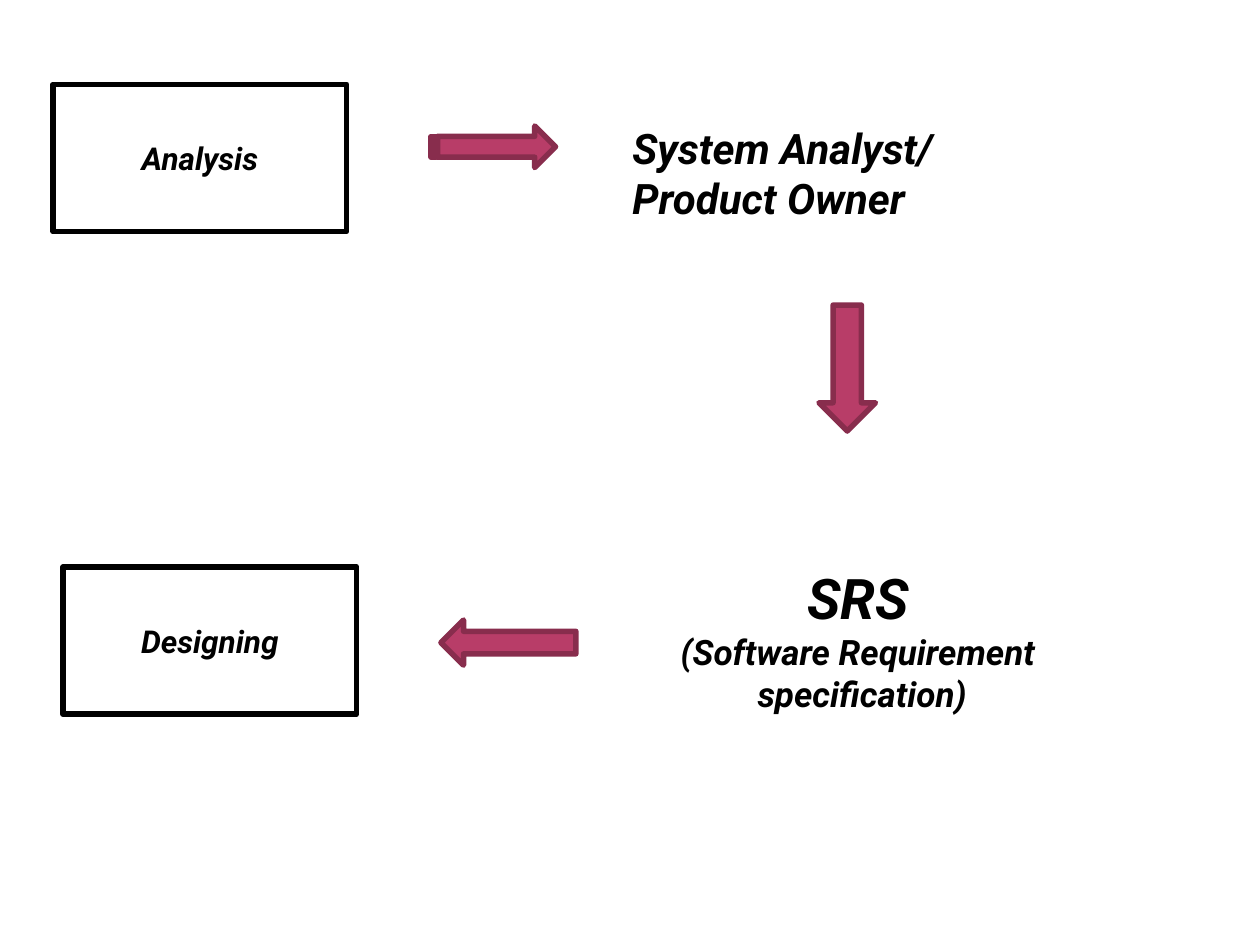
from pptx import Presentation
from pptx.dml.color import RGBColor
from pptx.enum.shapes import MSO_SHAPE
from pptx.enum.text import MSO_ANCHOR, MSO_AUTO_SIZE, PP_ALIGN
from pptx.util import Cm, Pt

FONT = "Roboto"
BLACK, WHITE, ROSE, PLUM = "000000", "FFFFFF", "B83D68", "882D4D"
PHASE_SIZE = (5.92, 2.97)

PHASES = [
    ("Analysis", 1.07, 1.7),
    ("Designing", 1.27, 11.43),
]
ARROWS = [
    (MSO_SHAPE.STRIPED_RIGHT_ARROW, 8.69, 2.54, 2.51, 0.84),
    (MSO_SHAPE.DOWN_ARROW, 16.51, 6.15, 1.14, 2.54),
    (MSO_SHAPE.LEFT_ARROW, 8.89, 12.5, 2.72, 0.91),
]
LABELS = [
    ([("System Analyst/", 24), ("Product Owner", 24)],
     PP_ALIGN.LEFT, (12.5, 2.34, 7.04, 2.31)),
    ([("SRS", 32), ("(Software Requirement", 20), (" specification)", 20)],
     PP_ALIGN.CENTER, (13.13, 11.23, 8.33, 3.33)),
]


def color(hex_code):
    return RGBColor.from_string(hex_code)


def add_block(slide, kind, place, fill, line):
    block = slide.shapes.add_shape(kind, *map(Cm, place))
    block.shadow.inherit = False
    block.fill.solid()
    block.fill.fore_color.rgb = color(fill)
    block.line.color.rgb = color(line)
    block.line.width = Pt(3.15)
    return block


def write_lines(frame, lines, align):
    frame.text = "\n".join(text for text, size in lines)
    for paragraph, (text, size) in zip(frame.paragraphs, lines):
        paragraph.alignment = align
        font = paragraph.runs[0].font
        font.name = FONT
        font.size = Pt(size)
        font.bold = font.italic = True
        font.color.rgb = color(BLACK)


def main():
    deck = Presentation()
    deck.slide_width, deck.slide_height = Cm(25.4), Cm(19.05)
    slide = deck.slides.add_slide(deck.slide_layouts[6])

    for phase, left, top in PHASES:
        box = add_block(slide, MSO_SHAPE.RECTANGLE, (left, top, *PHASE_SIZE), WHITE, BLACK)
        box.text_frame.vertical_anchor = MSO_ANCHOR.MIDDLE
        write_lines(box.text_frame, [(phase, 18)], PP_ALIGN.CENTER)

    for kind, *place in ARROWS:
        add_block(slide, kind, place, ROSE, PLUM)

    for lines, align, place in LABELS:
        frame = slide.shapes.add_textbox(*map(Cm, place)).text_frame
        frame.word_wrap = False
        frame.auto_size = MSO_AUTO_SIZE.SHAPE_TO_FIT_TEXT
        write_lines(frame, lines, align)

    deck.save("out.pptx")


if __name__ == "__main__":
    main()
